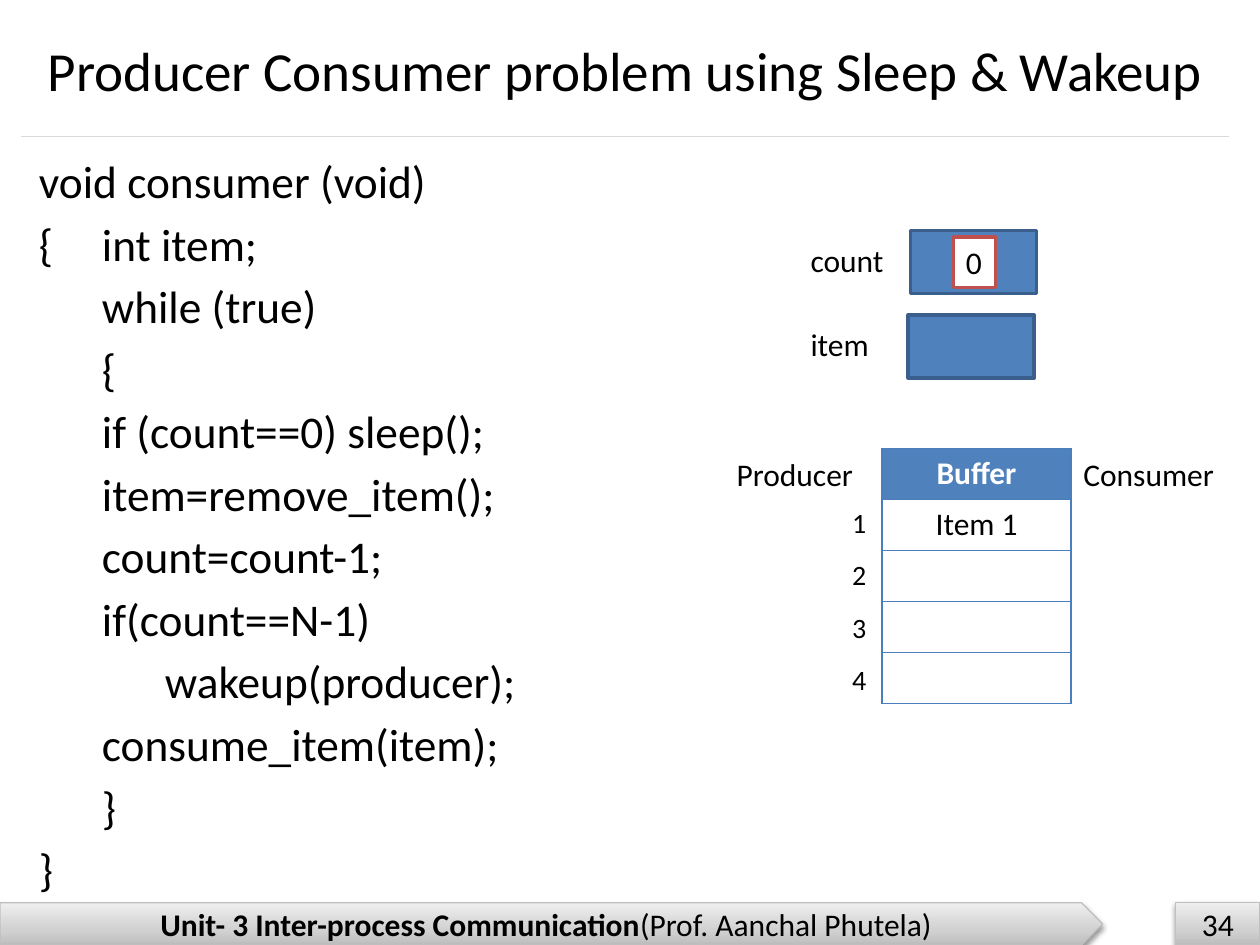
"""Build the slide on the consumer half of the sleep and wakeup solution."""
from lxml import etree
from pptx import Presentation
from pptx import util as u
from pptx.dml import color
from pptx.enum import shapes, text
from pptx.oxml import ns

BOX, PLATE = shapes.MSO_SHAPE.RECTANGLE, shapes.MSO_SHAPE.PENTAGON
LEFT, CENTER = text.PP_ALIGN.LEFT, text.PP_ALIGN.CENTER
BLUE, EDGE, RULE, RED = "4F81BD", "3A5F8C", "4B7EBC", "C0504D"
BLACK, WHITE = "000000", "FFFFFF"
BAR_STOPS = [(0, "BDBDBD"), (35, "D1D1D1"), (100, "EEEEEE")]
CODE = [
    "void consumer (void)", "{\tint item;", "\twhile (true)", "\t{",
    "\tif (count==0) sleep();", "\titem=remove_item();", "\tcount=count-1;",
    "\tif(count==N-1)", "\t\twakeup(producer);", "\tconsume_item(item);",
    "\t}", "}",
]


def rgb(value):
    return color.RGBColor.from_string(value)


def add(parent, tag, **attrs):
    return etree.SubElement(parent, ns.qn(tag), {k: str(v) for k, v in attrs.items()})


class Deck:
    def __init__(self, prs):
        self.font = "Calibri"
        self.s = prs.slides.add_slide(prs.slide_layouts[1])

    def style(self, p, size=18, ink=BLACK, align=LEFT, bold=None):
        p.alignment = align
        p.font.name, p.font.size, p.font.bold = self.font, u.Pt(size), bold
        p.font.color.rgb = rgb(ink)

    def placeholder(self, index, x, y, w, h):
        sp = self.s.placeholders[index]
        self.s.shapes._spTree.append(sp._element)
        sp.left, sp.top, sp.width, sp.height = map(u.Cm, (x, y, w, h))
        sp.text_frame.auto_size = text.MSO_AUTO_SIZE.NONE
        return sp.text_frame

    def title(self, words, *at):
        tf = self.placeholder(0, *at)
        tf.vertical_anchor = text.MSO_ANCHOR.MIDDLE
        tf.text = words
        self.style(tf.paragraphs[0], 31.5, align=CENTER)

    def code(self, lines, tab, *at):
        tf = self.placeholder(1, *at)
        tf.text = "\n".join(lines)
        for i, p in enumerate(tf.paragraphs):
            pPr = p._p.get_or_add_pPr()
            pPr.set("marL", "0")
            pPr.set("indent", "0")
            add(pPr, "a:buNone")
            tabs = add(pPr, "a:tabLst")
            for n in (1, 2):
                add(tabs, "a:tab", pos=u.Cm(tab * n), algn="l")
            p.space_before = u.Pt(4.65 if i else 0)
            self.style(p, 25.9)

    def label(self, words, x, y, w, h=1.02, size=18, align=LEFT):
        tf = self.s.shapes.add_textbox(*map(u.Cm, (x, y, w, h))).text_frame
        tf.word_wrap = True
        tf.auto_size = text.MSO_AUTO_SIZE.SHAPE_TO_FIT_TEXT
        tf.text = words
        self.style(tf.paragraphs[0], size, align=align)

    def shape(self, kind, x, y, w, h, fill, line, weight=2):
        sp = self.s.shapes.add_shape(kind, *map(u.Cm, (x, y, w, h)))
        sp.shadow.inherit = False
        sp.fill.solid()
        sp.fill.fore_color.rgb = rgb(fill)
        sp.line.color.rgb, sp.line.width = rgb(line), u.Pt(weight)
        return sp

    def value(self, words, *at):
        tf = self.shape(BOX, *at, WHITE, RED).text_frame
        tf.vertical_anchor = text.MSO_ANCHOR.TOP
        tf.text = words
        self.style(tf.paragraphs[0])

    def bar(self, kind, runs, *at):
        sp = self.shape(kind, *at, WHITE, "BFBFBF", 0.75)
        spPr = sp._element.spPr
        solid = spPr.find(ns.qn("a:solidFill"))
        grad = etree.Element(ns.qn("a:gradFill"), rotWithShape="1")
        stops = add(grad, "a:gsLst")
        for pos, tone in BAR_STOPS:
            add(add(stops, "a:gs", pos=pos * 1000), "a:srgbClr", val=tone)
        add(grad, "a:lin", ang=270 * 60000, scaled=0)
        spPr.replace(solid, grad)
        shadow = add(spPr.find(ns.qn("a:effectLst")), "a:outerShdw", blurRad=u.Pt(3.1),
                     dist=u.Pt(1.6), dir=90 * 60000, rotWithShape=0)
        add(add(shadow, "a:srgbClr", val=BLACK), "a:alpha", val=38000)
        tf = sp.text_frame
        tf.vertical_anchor = text.MSO_ANCHOR.MIDDLE
        p = tf.paragraphs[0]
        self.style(p, align=CENTER)
        for words, bold in runs:
            r = p.add_run()
            r.text, r.font.bold = words, bold

    def table(self, heading, rows, x, y, w, row_h):
        frame = self.s.shapes.add_table(rows, 1, *map(u.Cm, (x, y, w, row_h * rows)))
        for i, cell in enumerate(frame.table.iter_cells()):
            if i:
                cell.fill.background()
            else:
                cell.fill.solid()
                cell.fill.fore_color.rgb = rgb(BLUE)
                cell.text = heading
            self.style(cell.text_frame.paragraphs[0], 18, BLACK if i else WHITE, CENTER, not i)
            tcPr = cell._tc.get_or_add_tcPr()
            for n, side in enumerate("LRTB"):
                ln = etree.Element(ns.qn("a:ln" + side), w=str(u.Pt(0.75)))
                add(add(ln, "a:solidFill"), "a:srgbClr", val=RULE)
                tcPr.insert(n, ln)

    def rule(self, x1, x2, y):
        line = self.s.shapes.add_connector(
            shapes.MSO_CONNECTOR.STRAIGHT, *map(u.Cm, (x1, y, x2, y)))
        line.line.color.rgb, line.line.width = rgb("D9D9D9"), u.Pt(0.75)
        add(line._element.spPr, "a:effectLst")


def main():
    prs = Presentation()
    prs.slide_width, prs.slide_height = u.Cm(25.4), u.Cm(19.05)
    d = Deck(prs)
    footer = [("Unit- 3 Inter-process Communication", True), ("(Prof. Aanchal Phutela)", False)]
    d.bar(PLATE, footer, 0, 18.2, 22.23, 0.85)
    d.bar(BOX, [("34", False)], 23.7, 18.2, 1.7, 0.85)
    d.code(CODE, 1.51, 0.53, 2.96, 13.55, 14.82)
    d.title("Producer Consumer problem using Sleep & Wakeup", 0.43, 0.18, 24.33, 2.46)

    d.table("Buffer", 5, 17.78, 9.04, 3.81, 1.03)
    d.label("Producer", 14.6, 9.04, 2.97)
    d.label("Consumer", 21.59, 9.04, 3.18)
    for i in range(4):
        d.label(str(i + 1), 16.93, 10.06 + 1.06 * i, 0.85, 0.94, 16)
    for name, x, y in [("count", 18.36, 4.65), ("item", 18.31, 6.35)]:
        d.shape(BOX, x, y, 2.54, 1.27, BLUE, EDGE)
        d.label(name, 16.09, y + 0.08, 2.12)
    d.value("0", 19.22, 4.78, 0.85, 1.02)
    d.label("Item 1", 18.42, 10.03, 2.54, align=CENTER)
    d.rule(0.43, 24.77, 2.75)
    prs.save("out.pptx")


if __name__ == "__main__":
    main()
